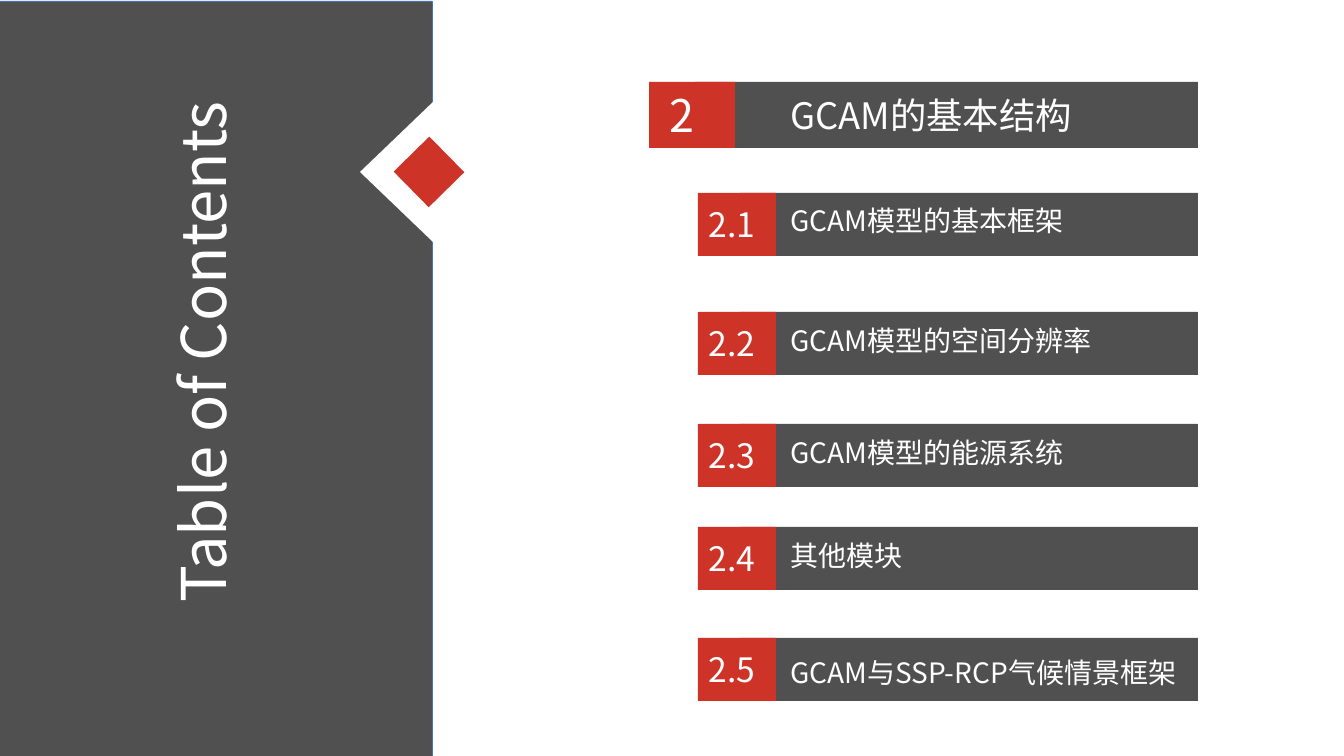
"""Build a table of contents slide with a side panel and numbered rows."""
from dataclasses import dataclass
from typing import Any

from lxml.etree import SubElement as Sub
from pptx import Presentation
from pptx.dml.color import RGBColor as Rgb
from pptx.enum.shapes import MSO_SHAPE as Kind
from pptx.enum.text import MSO_ANCHOR as Anchor, MSO_AUTO_SIZE as Auto, PP_ALIGN as Align
from pptx.oxml.ns import qn
from pptx.util import Pt

SCALE = 914400 / 100.8


@dataclass(frozen=True)
class Theme:
    """Colours, font and type sizes of the slide."""
    dark: str = "505050"
    red: str = "CE3327"
    white: str = "FFFFFF"
    edge: str = "4472C4"
    font: str = "Noto Sans CJK SC"
    title: int = 44
    digit: int = 32
    head: int = 26
    mark: int = 24
    item: int = 20


@dataclass(frozen=True)
class Box:
    """A frame in pixels."""
    left: int
    top: int
    width: int
    height: int

    def emu(self) -> tuple[int, ...]:
        """Return the frame in EMU."""
        return tuple(px(n) for n in (self.left, self.top, self.width, self.height))


@dataclass(frozen=True)
class Row:
    """A numbered entry: frames, wording and type sizes."""
    bar: Box
    tag: Box
    mark: str
    spot: Box
    size: int
    text: str
    place: Box
    type: int


def px(n: float) -> int:
    """Turn pixels into EMU."""
    return round(n * SCALE)


def paint(shape: Any, fill: str, line: str = "") -> None:
    """Give a shape a flat fill and an optional thin line."""
    shape.shadow.inherit = False
    shape.fill.solid()
    shape.fill.fore_color.rgb = Rgb.from_string(fill)
    if line:
        shape.line.color.rgb = Rgb.from_string(line)
        shape.line.width = Pt(0.5)
    else:
        shape.line.fill.background()


def block(shapes: Any, box: Box, fill: str, line: str = "", turn: float = 0) -> None:
    """Add a filled rectangle."""
    shape = shapes.add_shape(Kind.RECTANGLE, *box.emu())
    shape.rotation = turn
    paint(shape, fill, line)


def write(shape: Any, text: str, *, size: int, align: Any = Align.LEFT,
          anchor: Any = Anchor.TOP) -> None:
    """Fill a shape with one formatted line of text."""
    frame = shape.text_frame
    frame.word_wrap = True
    frame.auto_size = Auto.NONE
    frame.vertical_anchor = anchor
    frame.margin_left = frame.margin_right = px(5)
    frame.margin_top = frame.margin_bottom = px(5)
    para = frame.paragraphs[0]
    para.alignment = align
    para.line_spacing = 1.0
    run = para.add_run()
    run.text = text
    run.font.size = Pt(size)
    run.font.name = LOOK.font
    run.font.color.rgb = Rgb.from_string(LOOK.white)
    Sub(run.font._element, qn("a:ea")).set("typeface", LOOK.font)


def draw(shapes: Any, row: Row) -> None:
    """Draw the bar, the tag and both texts of a row."""
    group = shapes.add_group_shape().shapes
    block(group, row.bar, LOOK.dark)
    block(group, row.tag, LOOK.red)
    write(shapes.add_textbox(*row.spot.emu()), row.mark, size=row.size)
    write(shapes.add_textbox(*row.place.emu()), row.text, size=row.type)


def entry(rank: int, top: int, text: str, drop: int = 6) -> Row:
    """Lay out a sub-entry from its rank and top edge."""
    return Row(Box(740, top, 458, 63), Box(698, top, 78, 63),
               f"2.{rank}", Box(704, top + 6, 65, 50), LOOK.mark,
               text, Box(785, top + drop, 445, 44), LOOK.item)


LOOK = Theme()
HEAD = Row(Box(695, 82, 503, 66), Box(649, 82, 86, 66),
           "2", Box(664, 83, 46, 65), LOOK.digit,
           "GCAM的基本结构", Box(785, 88, 423, 54), LOOK.head)
ITEMS = [
    (193, "GCAM模型的基本框架"),
    (312, "GCAM模型的空间分辨率"),
    (424, "GCAM模型的能源系统"),
    (527, "其他模块"),
    (638, "GCAM与SSP-RCP气候情景框架", 12),
]


def main() -> None:
    """Build and save the slide."""
    deck = Presentation()
    deck.slide_width, deck.slide_height = px(1344), px(756)
    slide = deck.slides.add_slide(deck.slide_layouts[5])
    shapes = slide.shapes

    block(shapes, Box(-3, 1, 435, 755), LOOK.dark, LOOK.edge)
    notch = shapes.build_freeform(360, 172, scale=SCALE)
    notch.add_line_segments([(433, 102), (433, 242)], close=True)
    paint(notch.convert_to_shape(), LOOK.white)
    block(shapes, Box(404, 147, 50, 50), LOOK.red, turn=45.5)

    title = shapes.title
    title.left, title.top, title.width, title.height = Box(-112, 307, 627, 90).emu()
    title.rotation = 270
    write(title, "Table of Contents", size=LOOK.title, align=Align.CENTER,
          anchor=Anchor.MIDDLE)
    shapes.element.append(title.element)

    for row in [HEAD, *(entry(n, *item) for n, item in enumerate(ITEMS, 1))]:
        draw(shapes, row)
    deck.save("out.pptx")


main()
